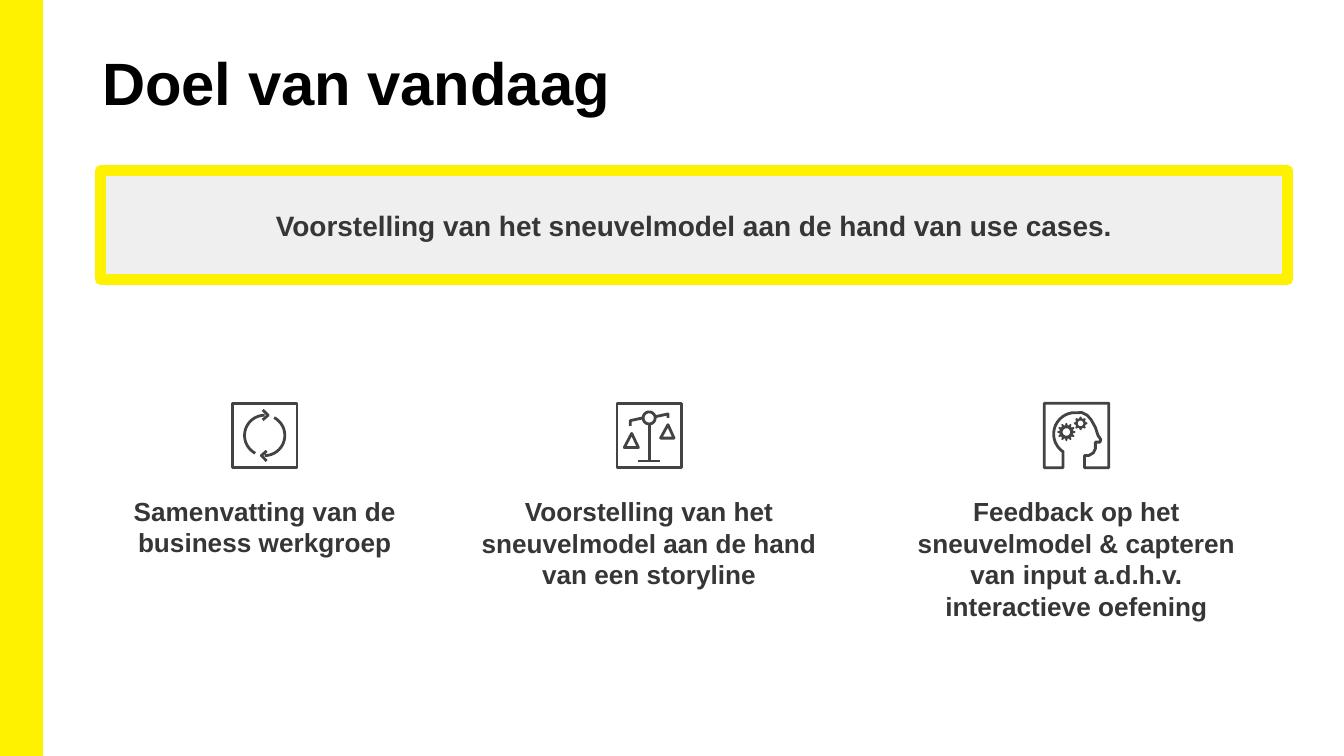
from math import cos, sin, radians
from pptx import Presentation, util as u
from pptx.dml.color import RGBColor
from pptx.enum import shapes, text

YELLOW = RGBColor(0xFF, 0xF2, 0x00)
PALE = RGBColor(0xEF, 0xEF, 0xEF)
BLACK = RGBColor(0x00, 0x00, 0x00)
DARK = RGBColor(0x37, 0x36, 0x36)
GREY = RGBColor(0x43, 0x43, 0x43)

deck = Presentation()
deck.slide_width = u.Inches(10)
deck.slide_height = deck.slide_width * 9 // 16
col, row = deck.slide_width / 100, deck.slide_height / 56.25
slide = deck.slides.add_slide(deck.slide_layouts[6])


def ring(x, y, radii, start=0, end=360, count=24):
    step = (end - start) / count
    return [(x + radii[i % len(radii)] * cos(radians(start + i * step)),
             y + radii[i % len(radii)] * sin(radians(start + i * step)))
            for i in range(count + 1)]


def trace(left, parts, solid=False):
    pen = None
    for part in parts:
        dots = [((left + x / 10) * col, (29.9 + y / 10) * row) for x, y in part]
        if pen is None:
            pen = slide.shapes.build_freeform(*dots[0])
        else:
            pen.move_to(*dots[0])
        pen.add_line_segments(dots[1:], close=part[0] == part[-1])
    icon = pen.convert_to_shape()
    icon.shadow.inherit = False
    if solid:
        icon.fill.solid()
        icon.fill.fore_color.rgb = GREY
        icon.line.fill.background()
    else:
        icon.fill.background()
        icon.line.color.rgb = GREY
        icon.line.width = u.Pt(1.5)


bars = []
for x, y, wide, high, fill, weight in [
    (0, 0, 3.1, 56.25, YELLOW, 1),
    (7.5, 12.7, 88.3, 8.1, PALE, 6),
]:
    bar = slide.shapes.add_shape(
        shapes.MSO_SHAPE.RECTANGLE, int(x * col), int(y * row), int(wide * col), int(high * row))
    bar.shadow.inherit = False
    bar.fill.solid()
    bar.fill.fore_color.rgb = fill
    bar.line.color.rgb = YELLOW
    bar.line.width = u.Pt(weight)
    bars.append(bar)
banner = bars[1]
banner.text_frame.text = "Voorstelling van het sneuvelmodel aan de hand van use cases."
LEFT, MID = text.PP_ALIGN.LEFT, text.PP_ALIGN.CENTER
labels = [(banner, 15, DARK, MID)]

for x, y, wide, high, words, size, tint, side in [
    (6.9, 3, 86.2, 8.1, "Doel van vandaag", 32, BLACK, LEFT),
    (6.1, 36.35, 27.2, 12.8, "Samenvatting van de business werkgroep", 14, DARK, MID),
    (34.3, 36.4, 28, 12.8,
     "Voorstelling van het sneuvelmodel aan de hand van een storyline", 14, DARK, MID),
    (66.1, 36.4, 28, 12.8,
     "Feedback op het sneuvelmodel & capteren van input a.d.h.v. interactieve oefening",
     14, DARK, MID),
]:
    box = slide.shapes.add_textbox(int(x * col), int(y * row), int(wide * col), int(high * row))
    box.text_frame.text = words
    if side == LEFT:
        frame = box.text_frame
        frame.margin_left = frame.margin_right = u.Inches(0.07)
        frame.margin_top = frame.margin_bottom = u.Inches(0.04)
    labels.append((box, size, tint, side))

for box, size, tint, side in labels:
    box.text_frame.word_wrap = True
    line = box.text_frame.paragraphs[0]
    line.alignment = side
    font = line.runs[0].font
    font.name, font.size, font.bold = "Arial", u.Pt(size), True
    font.color.rgb = tint

square = [(1, 1), (1, 49), (49, 49), (49, 1), (1, 1)]

arc = ring(25, 25, [15], 118, 270)
tip = [(23.5, 6), (27.5, 10), (23.5, 13.5)]
trace(17.2, [square])
for flip in (1, -1):
    trace(17.2, [[(25 + flip * (x - 25), 25 + flip * (y - 25)) for x, y in part]
                 for part in (arc, tip)])

trace(45.8, [
    square,
    [(11, 18), (11, 14), (20, 12)],
    [(30, 11), (39, 9), (39, 12)],
    [(25, 17), (25, 44)],
    [(17, 44), (33, 44)],
    [(12, 23.5), (6.5, 34), (17, 34), (12, 23.5)],
    [(39, 17), (33.5, 27), (43.5, 27), (39, 17)],
    ring(25, 12, [4.5]),
])

skull = ring(24, 24, [16], 130, 260, 14)
face = [(29, 8), (33, 10), (36, 13.5), (39, 19), (41, 25), (43, 28), (42.5, 30), (39, 30),
        (39, 35), (37.5, 38), (34, 40), (31, 40), (31, 49), (49, 49), (49, 1), (1, 1)]
trace(77.6, [[(1, 1), (1, 49), (15, 49), (15, 37)] + skull + face])
for x, y, size, teeth in [(17.5, 22.5, 6.7, 12), (28, 16, 5, 8)]:
    gear = ring(x, y, [size, size, size * 0.76, size * 0.76], -45 / teeth, 360 - 45 / teeth, teeth * 4)
    gear[-1] = gear[0]
    hole = ring(x, y, [size * 0.42])
    trace(77.6, [gear, hole], solid=True)

deck.save("out.pptx")
